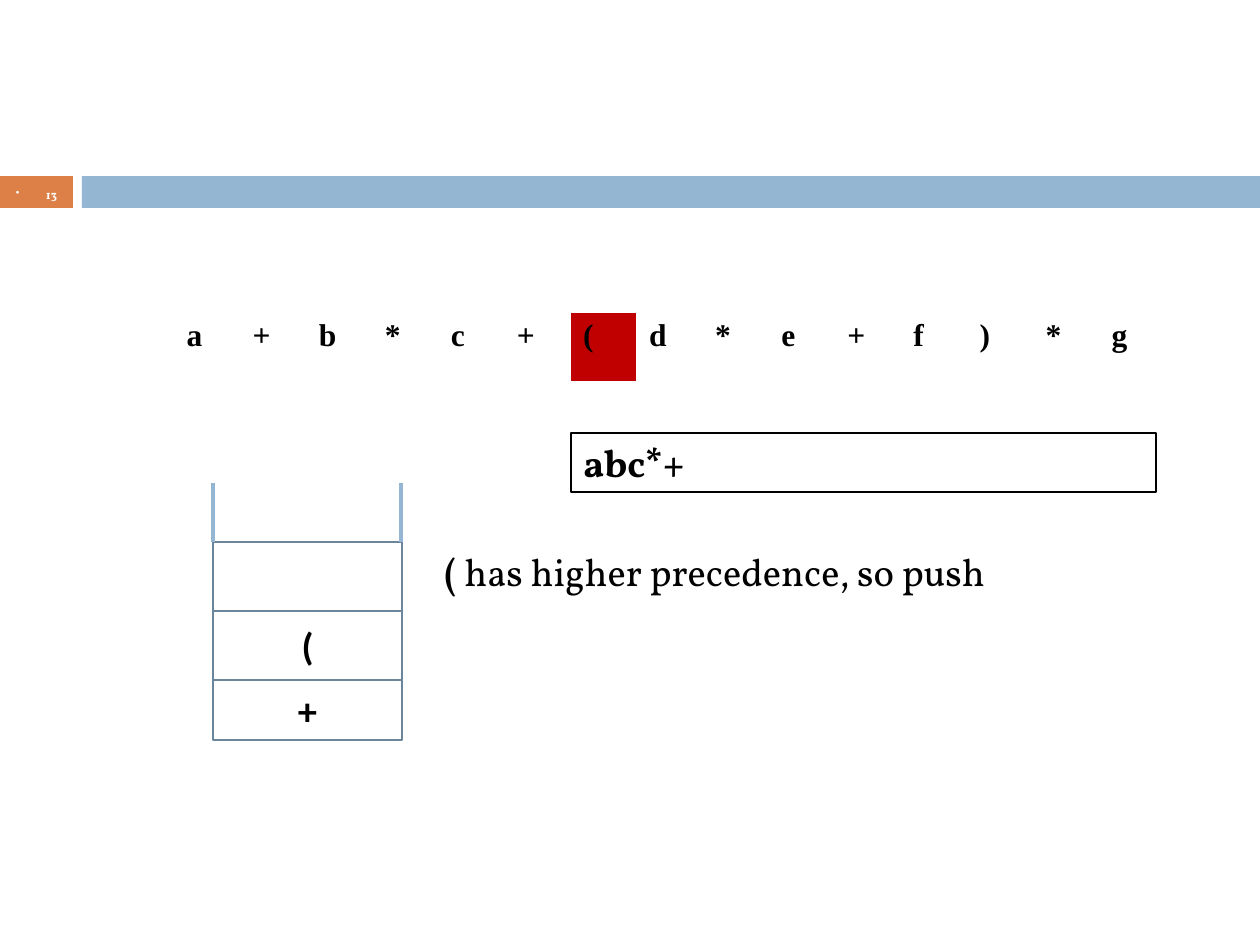
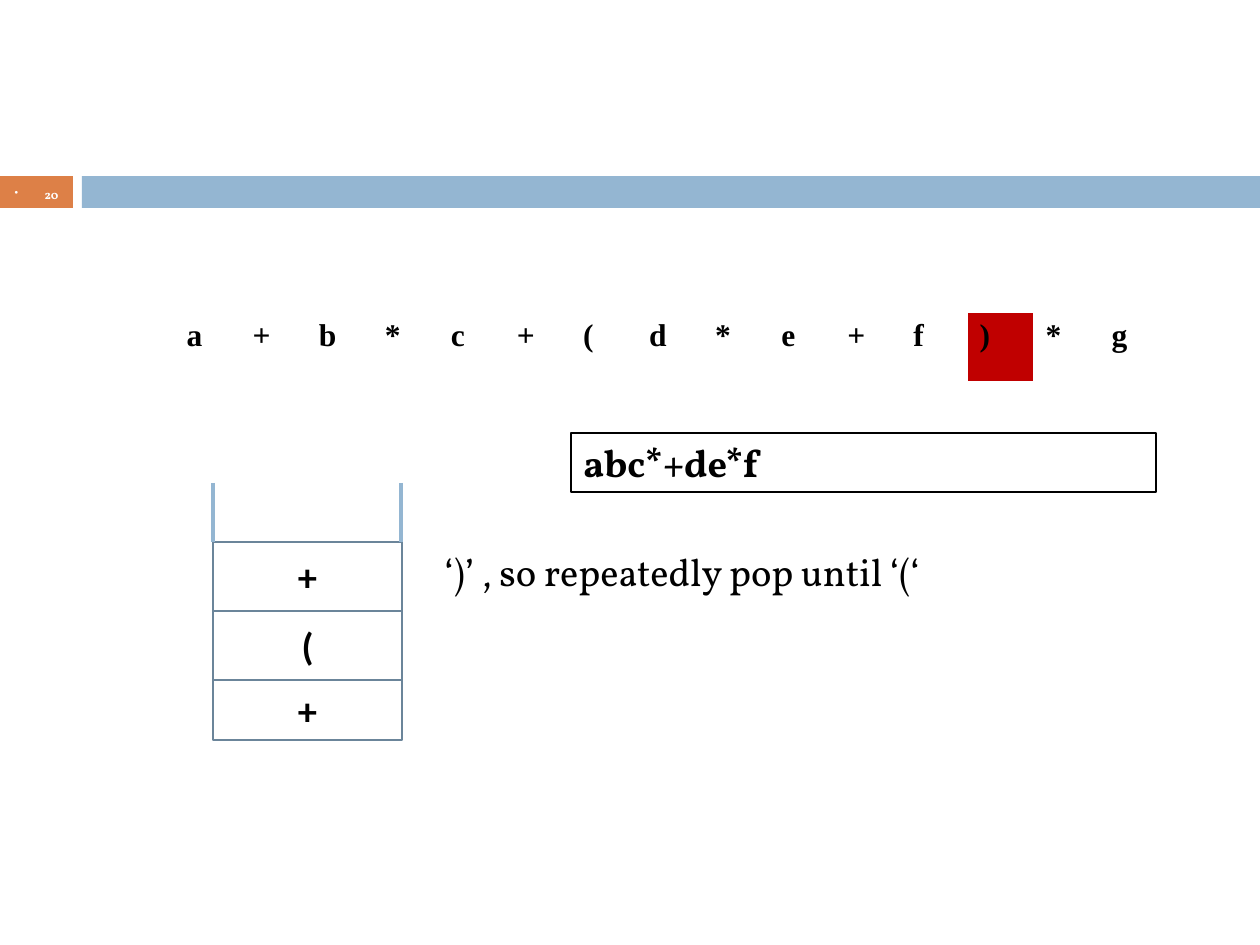
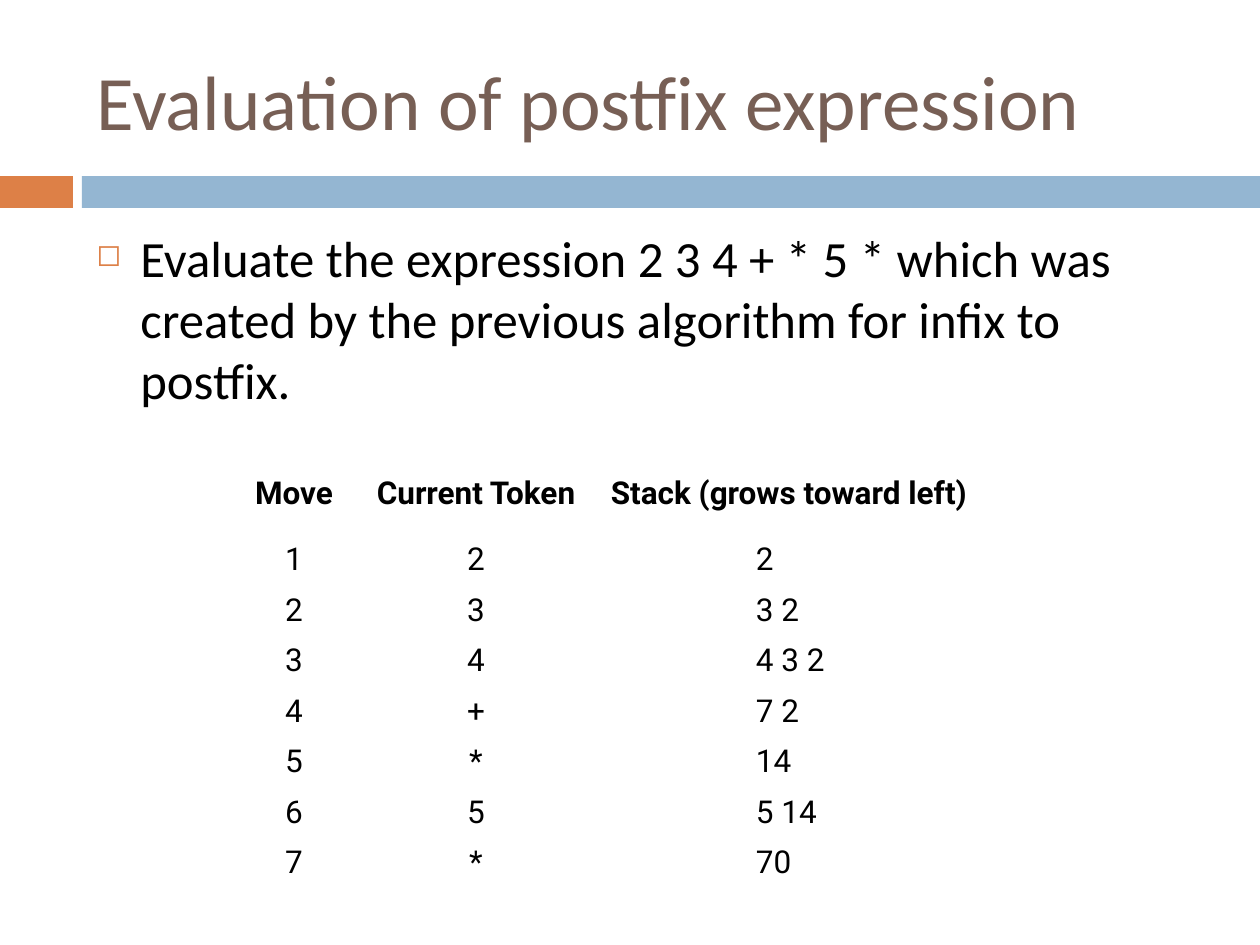
from lxml import etree
from pptx import Presentation
from pptx import util as u
from pptx.dml.color import RGBColor
from pptx.enum import shapes, text
from pptx.oxml import ns

PX = u.Inches(1) / 126
WHITE = RGBColor(0xFF, 0xFF, 0xFF)
BLACK = RGBColor(0, 0, 0)
ORANGE = RGBColor(0xDD, 0x80, 0x47)
BLUE = RGBColor(0x94, 0xB6, 0xD2)
SLATE = RGBColor(0x6B, 0x85, 0x9A)
BROWN = RGBColor(0x77, 0x5F, 0x55)
RED = RGBColor(0xC0, 0, 0)

LEFT, CENTER = text.PP_ALIGN.LEFT, text.PP_ALIGN.CENTER
TOP, MIDDLE = text.MSO_ANCHOR.TOP, text.MSO_ANCHOR.MIDDLE

INFIX = "a+b*c+(d*e+f)*g"
STEPS = [
    dict(number="13", current=6, output="abc*+", stack=["+", "(", ""],
         symbol="( ", note="has higher precedence, so push"),
    dict(number="20", current=12, output="abc*+de*f", stack=["+", "(", "+"],
         symbol="", note="‘)’ , so repeatedly pop until ‘(‘"),
]
MOVES = [("1", "2", "2"), ("2", "3", "3 2"), ("3", "4", "4 3 2"),
         ("4", "+", "7 2"), ("5", "*", "14"), ("6", "5", "5 14"),
         ("7", "*", "70")]


def px(length):
    """Turn pixels into EMU."""
    return u.Emu(round(length * PX))


def add_bullet(paragraph, char, color, percent, indent):
    """Give a paragraph a hanging bullet."""
    props = paragraph._p.get_or_add_pPr()
    props.set("marL", str(px(indent)))
    props.set("indent", str(-px(indent)))
    tint = etree.SubElement(props, ns.qn("a:buClr"))
    etree.SubElement(tint, ns.qn("a:srgbClr"), val=str(color))
    etree.SubElement(props, ns.qn("a:buSzPct"), val=str(percent * 1000))
    etree.SubElement(props, ns.qn("a:buChar"), char=char)


def write(frame, words, size, font, color=BLACK, bold=False, align=LEFT,
          anchor=TOP, bold_lead="", bullet=None, spacing=None):
    """Write one formatted paragraph into a text frame."""
    frame.word_wrap = True
    frame.vertical_anchor = anchor
    paragraph = frame.paragraphs[0]
    if bullet:
        add_bullet(paragraph, *bullet)
    paragraph.alignment = align
    if spacing:
        paragraph.line_spacing = spacing
    for part, heavy in ((bold_lead, True), (words, bold)):
        if part:
            run = paragraph.add_run()
            run.text = part
            run.font.size = u.Pt(size)
            run.font.name = font
            run.font.bold = heavy
            run.font.color.rgb = color


def add_text(slide, box, words, **style):
    """Add a text box."""
    write(slide.shapes.add_textbox(*map(px, box)).text_frame, words, **style)


def add_rect(slide, box, fill, line=None, weight=0):
    """Add a flat rectangle."""
    rect = slide.shapes.add_shape(shapes.MSO_SHAPE.RECTANGLE, *map(px, box))
    rect.shadow.inherit = False
    rect.fill.solid()
    rect.fill.fore_color.rgb = fill
    if line is None:
        rect.line.fill.background()
    else:
        rect.line.color.rgb = line
        rect.line.width = u.Pt(weight)
    return rect


def add_wall(slide, x, top, bottom):
    """Add an upright line on the open end of the stack."""
    wall = slide.shapes.add_connector(
        shapes.MSO_CONNECTOR.STRAIGHT, px(x), px(top), px(x), px(bottom))
    wall.line.color.rgb = BLUE
    wall.line.width = u.Pt(2.5)
    etree.SubElement(wall._element.spPr, ns.qn("a:effectLst"))


def add_plain_table(slide, left, top, widths, heights):
    """Add a table without banding or fills."""
    table = slide.shapes.add_table(
        len(heights), len(widths), px(left), px(top),
        px(sum(widths)), px(sum(heights))).table
    table.first_row = table.horz_banding = False
    for column, width in zip(table.columns, widths):
        column.width = px(width)
    for row, height in zip(table.rows, heights):
        row.height = px(height)
    for cell in table.iter_cells():
        cell.fill.background()
    return table


def add_borders(cell):
    """Draw white borders, heavier below; they precede the fill."""
    props = cell._tc.get_or_add_tcPr()
    for place, (side, weight) in enumerate(
            (("L", 0.45), ("R", 0.45), ("T", 0.45), ("B", 1.47))):
        border = etree.Element(ns.qn(f"a:ln{side}"), w=str(u.Pt(weight)))
        paint = etree.SubElement(border, ns.qn("a:solidFill"))
        etree.SubElement(paint, ns.qn("a:srgbClr"), val=str(WHITE))
        props.insert(place, border)


def add_band(slide, number=""):
    """Draw the shared band with the slide number."""
    add_rect(slide, (0, 176, 73, 32), ORANGE)
    add_rect(slide, (82, 176, 1178, 32), BLUE)
    if number:
        add_text(slide, (0, 175, 73, 34), number, size=7, font="Vollkorn",
                 color=WHITE, bold=True, align=CENTER, anchor=MIDDLE,
                 bullet=("•", WHITE, 85, 30), spacing=1.3)


def add_infix(slide, left, top, current):
    """Lay out the infix tokens and mark the current one."""
    table = add_plain_table(slide, left, top, [66.1] * len(INFIX), [70])
    for index, token in enumerate(INFIX):
        cell = table.cell(0, index)
        cell.fill.solid()
        cell.fill.fore_color.rgb = RED if index == current else WHITE
        add_borders(cell)
        write(cell.text_frame, token, size=18, font="Times New Roman",
              bold=True)


def add_stack(slide, left, top, width, tokens):
    """Draw an open stack whose tokens are listed from the bottom up."""
    wall, slot, base = 59, 69, 60
    bottom = top + wall + slot * (len(tokens) - 1) + base
    for level, token in enumerate(tokens):
        height = slot if level else base
        bottom -= height
        rect = add_rect(slide, (left, bottom, width, height), WHITE, SLATE, 1.5)
        if token:
            write(rect.text_frame, token, size=22, font="Calibri", bold=True,
                  align=CENTER, anchor=MIDDLE)
    for x in (left, left + width - 1):
        add_wall(slide, x, top, top + wall)


def add_conversion_slide(slide, number, current, output, stack, symbol, note):
    """Build one step of the infix to postfix conversion."""
    add_band(slide, number)
    add_infix(slide, 174, 312, current)
    add_stack(slide, 213, 483, 189, stack)
    result = add_rect(slide, (571, 433, 585, 59), WHITE, BLACK, 0.75)
    write(result.text_frame, output, size=22, font="Vollkorn", bold=True)
    add_text(slide, (432, 542, 566, 106), note, size=22, font="Vollkorn",
             bold_lead=symbol)


def add_moves(slide, left, top):
    """Tabulate the moves of the evaluation."""
    table = add_plain_table(slide, left, top, [102, 262, 146, 218],
                            [83] + [45] * len(MOVES))
    table.cell(0, 2).merge(table.cell(0, 3))
    headings = ("Move", "Current Token", "Stack (grows toward left)")
    for row, entries in enumerate([headings] + MOVES):
        for column, entry in zip((0, 1, 3 if row else 2), entries):
            cell = table.cell(row, column)
            cell.margin_left = cell.margin_right = px(3)
            cell.vertical_anchor = MIDDLE
            write(cell.text_frame, entry, size=18, font="Roboto",
                  bold=row == 0, align=LEFT if column == 3 else CENTER,
                  anchor=None)
            cell.vertical_anchor = MIDDLE


def add_evaluation_slide(slide):
    """Build the slide on evaluating a postfix expression."""
    add_band(slide)
    add_text(slide, (84, 32, 1124, 136), "Evaluation of postfix expression",
             size=44, font="Calibri", color=BROWN, anchor=MIDDLE)
    add_text(slide, (84, 221, 1124, 620),
             "Evaluate the expression 2 3 4 + * 5 * which was created by the "
             "previous algorithm for infix to postfix.",
             size=29, font="Calibri", bullet=("◻", ORANGE, 60, 44))
    add_moves(slide, 243, 452)


def main():
    """Build the deck."""
    deck = Presentation()
    deck.slide_width, deck.slide_height = px(1260), px(945)
    blank = deck.slide_layouts[6]
    for step in STEPS:
        add_conversion_slide(deck.slides.add_slide(blank), **step)
    add_evaluation_slide(deck.slides.add_slide(blank))
    deck.save("out.pptx")


if __name__ == "__main__":
    main()
